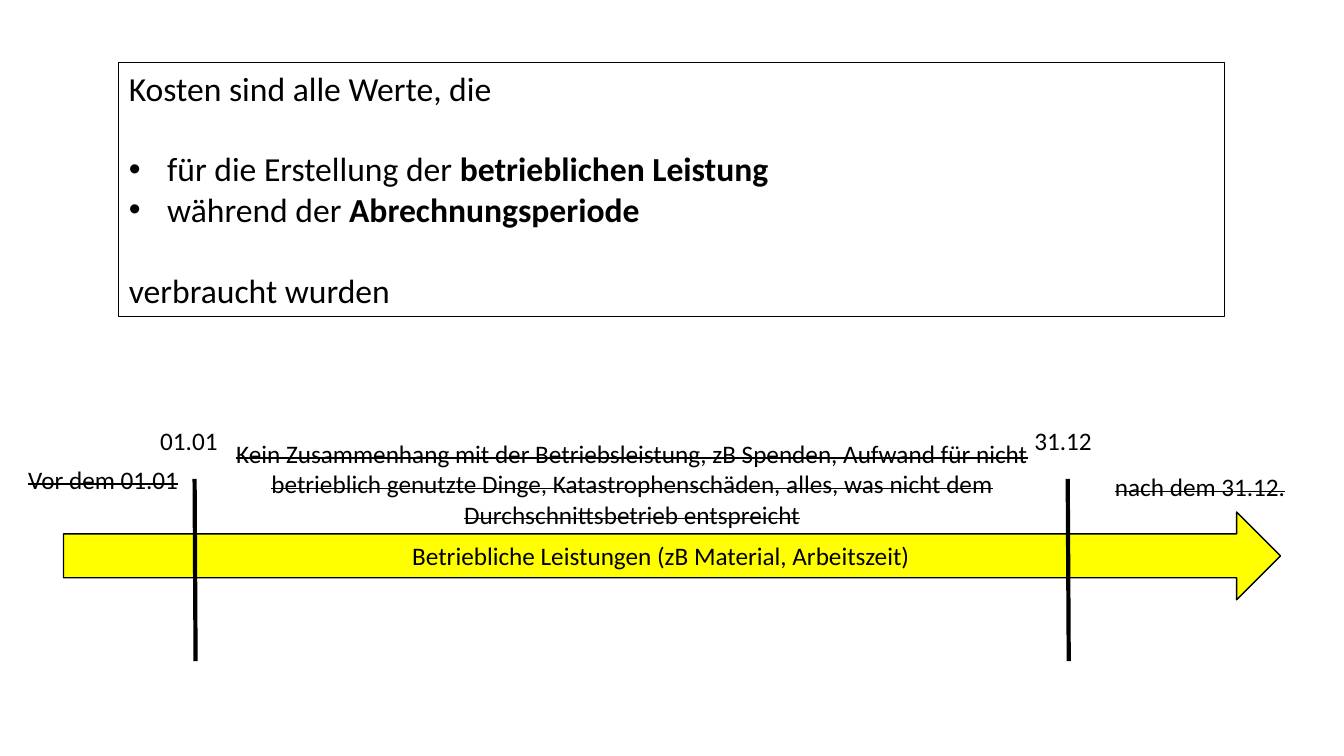
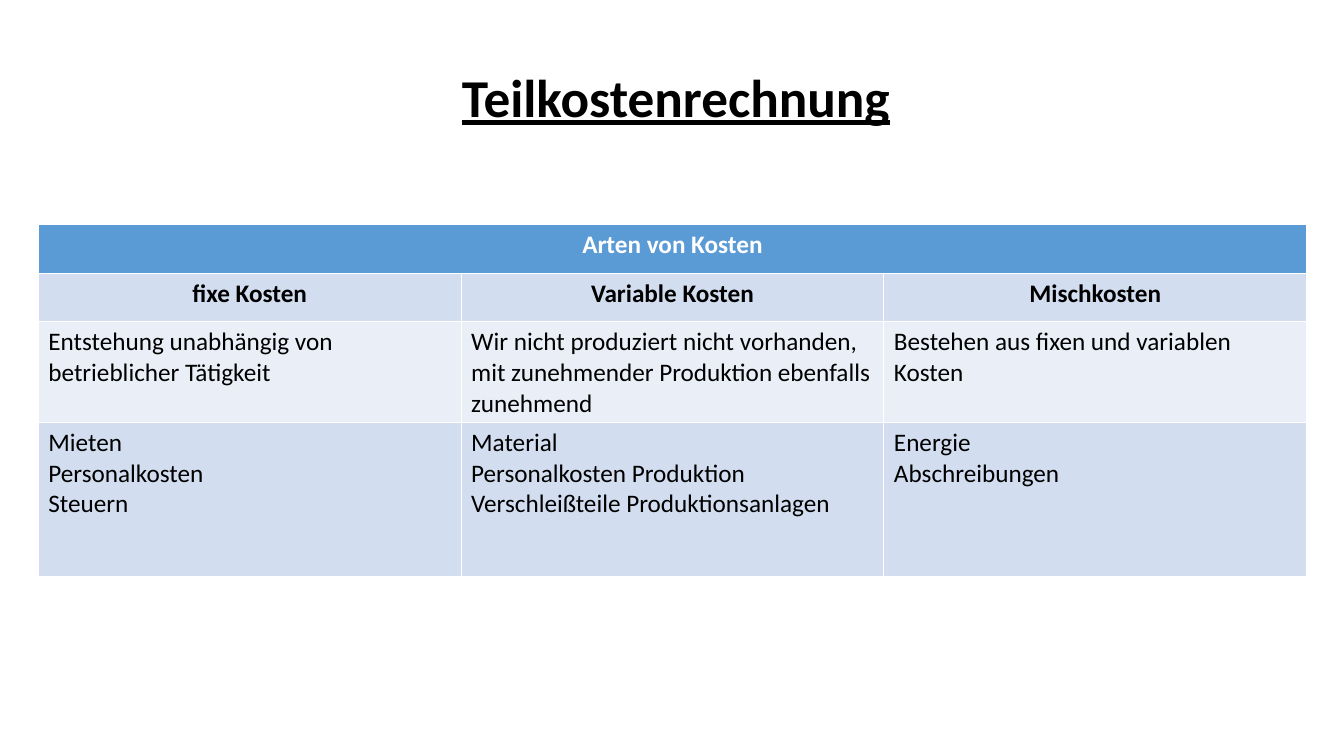
from lxml.etree import SubElement
from pptx import Presentation
from pptx.dml.color import RGBColor
from pptx.enum.shapes import MSO_CONNECTOR as Connector, MSO_SHAPE as Preset
from pptx.enum.text import MSO_ANCHOR as Anchor, PP_ALIGN as Align
from pptx.oxml.ns import qn
from pptx.util import Inches, Pt

COLORS = {
    "text": "000000", "light": "FFFFFF", "arrow": "FFFF00",
    "header": "5B9BD5", "band": "D2DEEF", "pale": "EAEFF7",
}
FONT = "Calibri"


def color(name):
    return RGBColor.from_string(COLORS[name])


def write(frame, paragraphs, size=18, align=Align.LEFT, tone="text",
          bold=False, underline=False, strike=False):
    """Each paragraph is a list of (text, emphasised) runs."""
    frame.word_wrap = True
    for index, runs in enumerate(paragraphs):
        paragraph = frame.paragraphs[0] if index == 0 else frame.add_paragraph()
        paragraph.alignment = align
        for text, emphasised in runs:
            run = paragraph.add_run()
            run.text = text
            run.font.name = FONT
            run.font.size = Pt(size)
            run.font.bold = bold or emphasised
            run.font.underline = underline
            run.font.color.rgb = color(tone)
            if strike:
                run._r.get_or_add_rPr().set("strike", "sngStrike")


presentation = Presentation()
presentation.slide_width = Inches(13.33)
presentation.slide_height = Inches(7.5)
blank = presentation.slide_layouts[6]

# Slide 1: definition of costs
slide = presentation.slides.add_slide(blank)
definition = slide.shapes.add_shape(
    Preset.RECTANGLE, Inches(1.18), Inches(0.62), Inches(10.97), Inches(2.52))
definition.fill.background()
definition.line.width = Pt(0.75)
write(definition.text_frame, [
    [("Kosten sind alle Werte, die", False)],
    [("für die Erstellung der ", False), ("betrieblichen Leistung", True)],
    [("während der ", False), ("Abrechnungsperiode", True)],
    [("verbraucht wurden", False)],
], size=24)
definition.text_frame.vertical_anchor = Anchor.TOP
intro, first_bullet, second_bullet, ending = definition.text_frame.paragraphs
for paragraph in (first_bullet, ending):
    paragraph.space_before = Pt(29)
for paragraph in (first_bullet, second_bullet):
    properties = paragraph._p.get_or_add_pPr()
    properties.set("marL", str(Inches(0.38)))
    properties.set("indent", str(-Inches(0.38)))
    SubElement(properties, qn("a:buFont")).set("typeface", "Arial")
    SubElement(properties, qn("a:buChar")).set("char", "•")

# Time arrow
arrow = slide.shapes.add_shape(
    Preset.RIGHT_ARROW, Inches(0.63), Inches(5.08), Inches(12.07), Inches(0.87))
arrow.fill.solid()
arrow.fill.fore_color.rgb = color("arrow")
arrow.line.width = Pt(1)
write(arrow.text_frame,
      [[("Betriebliche Leistungen (zB Material, Arbeitszeit)", False)]],
      align=Align.CENTER)
arrow.text_frame.vertical_anchor = Anchor.MIDDLE
for shape in (definition, arrow):
    shape.shadow.inherit = False
    shape.line.color.rgb = color("text")

# Limits of the accounting period
for x in (1.93, 10.59):
    limit = slide.shapes.add_connector(
        Connector.STRAIGHT, Inches(x), Inches(4.75), Inches(x + 0.01), Inches(6.56))
    limit.line.color.rgb = color("text")
    limit.line.width = Pt(3)
    SubElement(limit._element.spPr, qn("a:effectLst"))

# Labels on the time line; what is no cost is struck through
labels = [
    ("01.01", 1.49, 4.17, 0.89, 0.4, Align.LEFT, False),
    ("31.12", 10.16, 4.17, 0.89, 0.4, Align.LEFT, False),
    ("Vor dem 01.01", 0.18, 4.56, 1.75, 0.4, Align.LEFT, True),
    ("nach dem 31.12.", 10.96, 4.63, 2.11, 0.4, Align.LEFT, True),
    ("Kein Zusammenhang mit der Betriebsleistung, zB Spenden, Aufwand für nicht "
     "betrieblich genutzte Dinge, Katastrophenschäden, alles, was nicht dem "
     "Durchschnittsbetrieb entspreicht", 1.94, 4.3, 8.66, 1.01, Align.CENTER, True),
]
for text, left, top, width, height, align, strike in labels:
    label = slide.shapes.add_textbox(
        Inches(left), Inches(top), Inches(width), Inches(height))
    write(label.text_frame, [[(text, False)]], align=align, strike=strike)

# Slide 2: kinds of costs
slide = presentation.slides.add_slide(blank)
title = slide.shapes.add_textbox(
    Inches(1.27), Inches(0.59), Inches(10.87), Inches(0.74))
write(title.text_frame, [[("Teilkostenrechnung", False)]], size=38,
      align=Align.CENTER, bold=True, underline=True)

# Each cell is a list of lines
rows = [
    (0.48, "header", [["Arten von Kosten"], [], []]),
    (0.48, "band", [["fixe Kosten"], ["Variable Kosten"], ["Mischkosten"]]),
    (0.83, "pale", [
        ["Entstehung unabhängig von betrieblicher Tätigkeit"],
        ["Wir nicht produziert nicht vorhanden, mit zunehmender Produktion "
         "ebenfalls zunehmend"],
        ["Bestehen aus fixen und variablen Kosten"]]),
    (1.53, "band", [
        ["Mieten", "Personalkosten", "Steuern"],
        ["Material", "Personalkosten Produktion", "Verschleißteile Produktionsanlagen"],
        ["Energie", "Abschreibungen"]]),
]
table = slide.shapes.add_table(
    len(rows), 3, Inches(0.38), Inches(2.23), Inches(12.58), Inches(3.32)).table
table.cell(0, 0).merge(table.cell(0, 2))
for row_index, (height, fill, cells) in enumerate(rows):
    table.rows[row_index].height = Inches(height)
    heading = row_index < 2
    for column_index, lines in enumerate(cells):
        cell = table.cell(row_index, column_index)
        cell.fill.solid()
        cell.fill.fore_color.rgb = color(fill)
        write(cell.text_frame, [[(line, False)] for line in lines],
              align=Align.CENTER if heading else Align.LEFT,
              tone="light" if fill == "header" else "text", bold=heading)

presentation.save("out.pptx")
